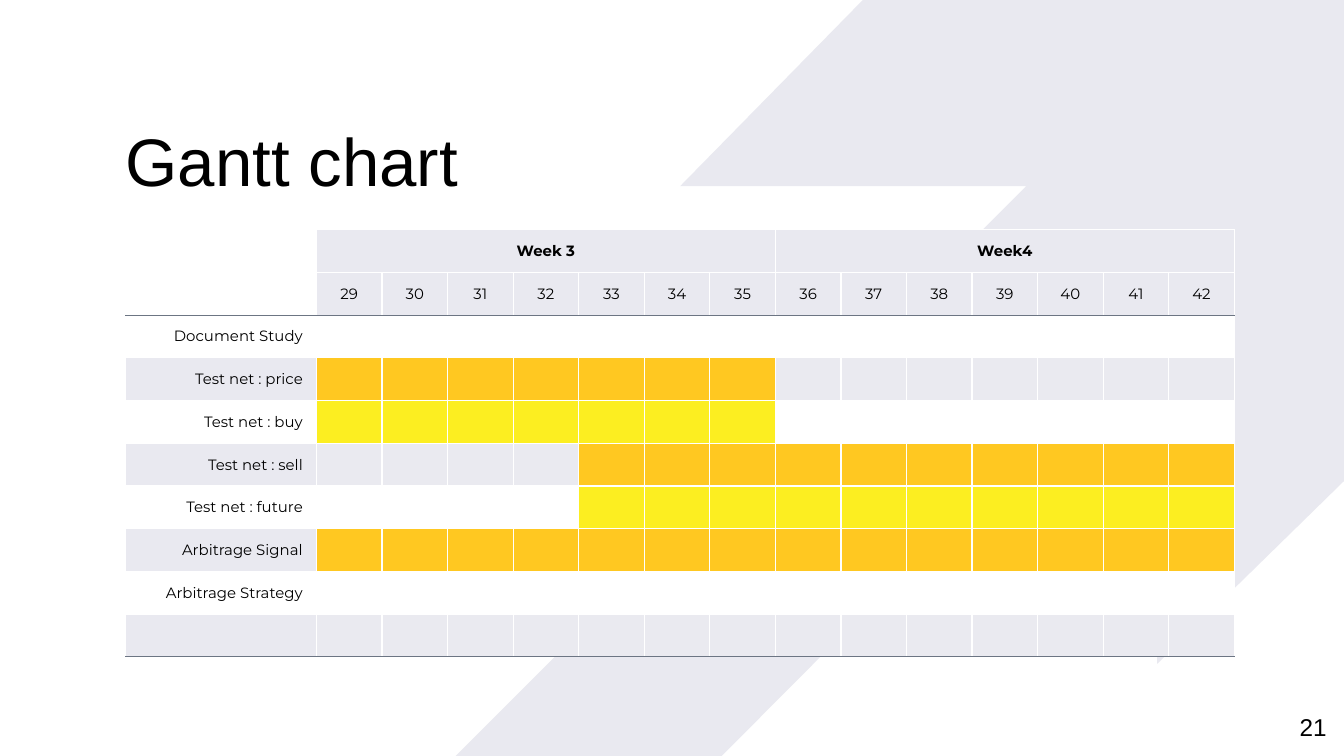
from lxml.etree import SubElement
from pptx import Presentation
from pptx.dml.color import RGBColor
from pptx.enum.text import MSO_ANCHOR, PP_ALIGN
from pptx.oxml.ns import qn
from pptx.util import Inches, Pt

WHITE, BLACK, GREY = "FFFFFF", "000000", "6C7583"
LAVENDER, PALE = "E9E9F0", "EAEAF0"
ORANGE, YELLOW = "FFC821", "FCEE21"

RIBBON = [(64.2, 0), (50.6, 24.65), (76.35, 24.65), (33.9, 100), (53.7, 100),
          (86.1, 42.13), (86.1, 87.82), (100, 63.64), (100, 0)]
WEEKS = ["Week 3", "Week4"]
DAYS_PER_WEEK = 7
FIRST_DAY, LAST_DAY = 29, 42
TASKS = [
    ("Document Study", None, None),
    ("Test net : price", 29, 35),
    ("Test net : buy", 29, 35),
    ("Test net : sell", 33, 42),
    ("Test net : future", 33, 42),
    ("Arbitrage Signal", 29, 42),
    ("Arbitrage Strategy", None, None),
    ("", None, None),
]
HEADER_ROWS = 2
LABEL_SHARE = 14.2 / 82.5


def color(value):
    return RGBColor.from_string(value)


def percent_box(presentation, left, top, width, height):
    column, row = presentation.slide_width / 100, presentation.slide_height / 100
    return [round(length) for length in (left * column, top * row, width * column, height * row)]


def style_paragraph(paragraph, size, font_name, alignment, bold=False):
    paragraph.alignment = alignment
    paragraph.font.size = Pt(size)
    paragraph.font.name = font_name
    paragraph.font.bold = bold
    paragraph.font.color.rgb = color(BLACK)


def add_ribbon(slide, box):
    left, top, width, height = box
    points = [(left + x * width / 100, top + y * height / 100) for x, y in RIBBON]
    builder = slide.shapes.build_freeform(*points[0])
    builder.add_line_segments(points[1:], close=True)
    shape = builder.convert_to_shape()
    shape.shadow.inherit = False
    shape.fill.solid()
    shape.fill.fore_color.rgb = color(LAVENDER)
    shape.line.fill.background()


def add_text(slide, box, text, size, anchor, alignment, line_spacing=1.0):
    frame = slide.shapes.add_textbox(*box).text_frame
    frame.word_wrap = True
    frame.vertical_anchor = anchor
    frame.margin_left = frame.margin_top = frame.margin_right = frame.margin_bottom = 0
    paragraph = frame.paragraphs[0]
    paragraph.text = text
    paragraph.line_spacing = line_spacing
    style_paragraph(paragraph, size, "Arial", alignment)


def set_borders(cell, top, bottom):
    properties = cell._tc.get_or_add_tcPr()
    for side, value in (("L", WHITE), ("R", WHITE), ("T", top), ("B", bottom)):
        line = SubElement(properties, qn(f"a:ln{side}"), w=str(Pt(0.75)))
        fill = SubElement(line, qn("a:solidFill"))
        SubElement(fill, qn("a:srgbClr"), val=value)


def fill_cell(cell, text, fill, alignment, bold=False, top=WHITE, bottom=WHITE):
    set_borders(cell, top, bottom)
    if fill:
        cell.fill.solid()
        cell.fill.fore_color.rgb = color(fill)
    else:
        cell.fill.background()
    cell.vertical_anchor = MSO_ANCHOR.MIDDLE
    paragraph = cell.text_frame.paragraphs[0]
    if text:
        paragraph.text = text
    else:
        cell.margin_top = cell.margin_bottom = 0
    style_paragraph(paragraph, 8, "Montserrat", alignment, bold)


def fill_header(table):
    fill_cell(table.cell(0, 0), "", None, PP_ALIGN.RIGHT)
    fill_cell(table.cell(1, 0), "", None, PP_ALIGN.RIGHT, bottom=GREY)
    for column, day in enumerate(range(FIRST_DAY, LAST_DAY + 1), start=1):
        week, weekday = divmod(column - 1, DAYS_PER_WEEK)
        title = "" if weekday else WEEKS[week]
        fill_cell(table.cell(0, column), title, LAVENDER, PP_ALIGN.CENTER, bold=True)
        fill_cell(table.cell(1, column), str(day), LAVENDER, PP_ALIGN.CENTER, bottom=GREY)
    for week in range(len(WEEKS)):
        first = 1 + week * DAYS_PER_WEEK
        table.cell(0, first).merge(table.cell(0, first + DAYS_PER_WEEK - 1))


def fill_tasks(table):
    for index, (name, start, end) in enumerate(TASKS):
        row = HEADER_ROWS + index
        banded = index % 2 == 1
        borders = {
            "top": GREY if index == 0 else WHITE,
            "bottom": GREY if index == len(TASKS) - 1 else WHITE,
        }
        label_fill = LAVENDER if banded else None
        fill_cell(table.cell(row, 0), name, label_fill, PP_ALIGN.RIGHT, **borders)
        bar, empty = (ORANGE, PALE) if banded else (YELLOW, WHITE)
        for column, day in enumerate(range(FIRST_DAY, LAST_DAY + 1), start=1):
            active = start is not None and start <= day <= end
            fill_cell(table.cell(row, column), "", bar if active else empty,
                      PP_ALIGN.CENTER, **borders)


def add_gantt_table(slide, box):
    left, top, width, height = box
    days = LAST_DAY - FIRST_DAY + 1
    rows = HEADER_ROWS + len(TASKS)
    table = slide.shapes.add_table(rows, days + 1, left, top, width, height).table
    table.first_row = table.horz_banding = False
    label_width = round(width * LABEL_SHARE)
    for index, column in enumerate(table.columns):
        column.width = round((width - label_width) / days) if index else label_width
    for row in table.rows:
        row.height = round(height / rows)
    fill_header(table)
    fill_tasks(table)


def main():
    presentation = Presentation()
    presentation.slide_width, presentation.slide_height = Inches(10), Inches(10 * 9 / 16)
    slide = presentation.slides.add_slide(presentation.slide_layouts[6])
    add_ribbon(slide, percent_box(presentation, 0, 0, 100, 100))
    add_text(slide, percent_box(presentation, 9.35, 16.8, 66.9, 9.78), "Gantt chart", 36,
             MSO_ANCHOR.BOTTOM, PP_ALIGN.LEFT, line_spacing=0.9)
    add_text(slide, percent_box(presentation, 92.7, 92.35, 6, 7.65), "21", 13,
             MSO_ANCHOR.MIDDLE, PP_ALIGN.RIGHT)
    add_gantt_table(slide, percent_box(presentation, 9.35, 30.4, 82.5, 56.55))
    presentation.save("out.pptx")


if __name__ == "__main__":
    main()
